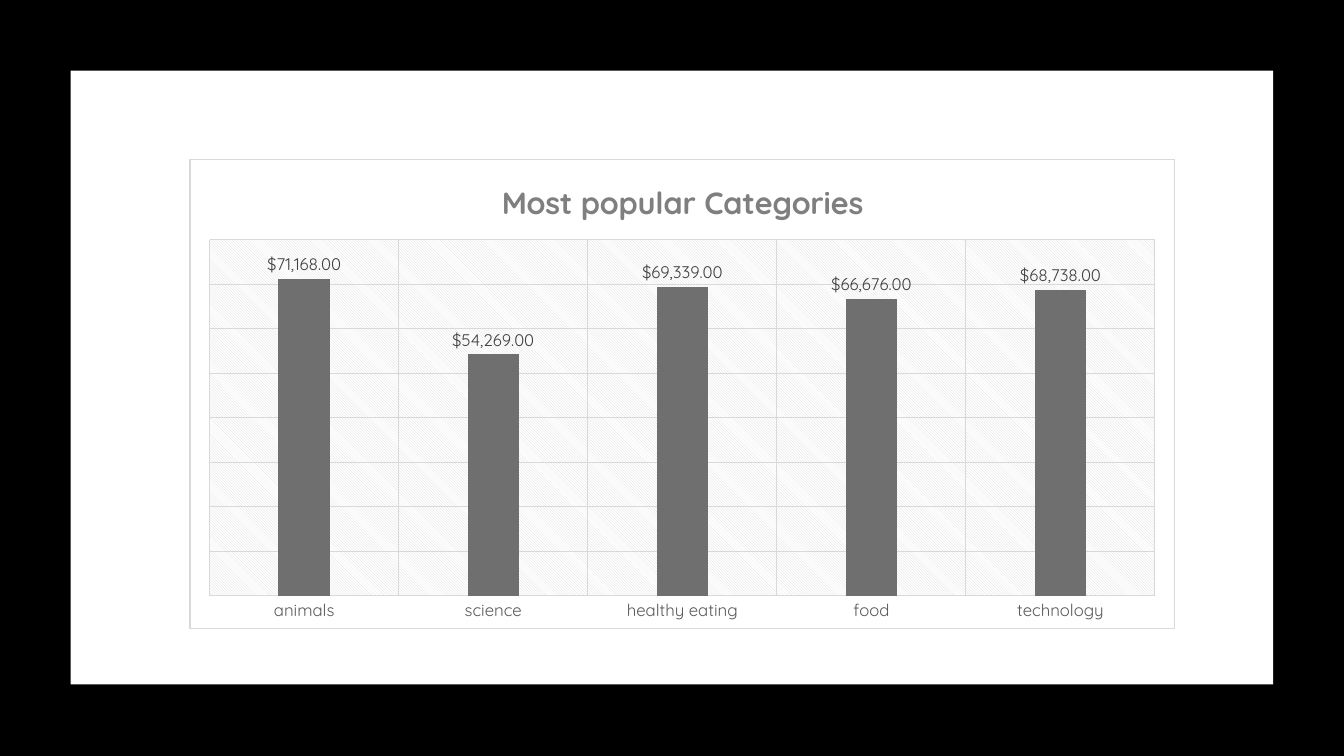
from typing import NamedTuple

from lxml import etree
from pptx import Presentation, oxml
from pptx import util as u
from pptx.chart import data as chart_data
from pptx.dml.color import RGBColor
from pptx.enum import chart as chart_enum
from pptx.enum import shapes

BLACK = RGBColor(0x00, 0x00, 0x00)
WHITE = RGBColor(0xFF, 0xFF, 0xFF)
GRID_GREY = RGBColor(0xD9, 0xD9, 0xD9)
BAR_GREY = RGBColor(0x6F, 0x6F, 0x6F)
TITLE_GREY = RGBColor(0x7F, 0x7F, 0x7F)
AXIS_GREY = RGBColor(0x59, 0x59, 0x59)
LABEL_GREY = RGBColor(0x40, 0x40, 0x40)

FONT = "Quicksand"
DOLLARS = '"$"#,##0.00'
NAMESPACES = (
    'xmlns:c="http://schemas.openxmlformats.org/drawingml/2006/chart" '
    'xmlns:a="http://schemas.openxmlformats.org/drawingml/2006/main"'
)


class Category(NamedTuple):
    name: str
    amount: int


class Box(NamedTuple):
    left: float
    top: float
    width: float
    height: float

    def lengths(self) -> list[u.Length]:
        return [u.Pt(value) for value in self]


CATEGORIES = [
    Category("animals", 71168),
    Category("science", 54269),
    Category("healthy eating", 69339),
    Category("food", 66676),
    Category("technology", 68738),
]
PANEL = Box(50.4, 50.4, 858.96, 438.48)
CHART = Box(135.36, 113.9, 704.16, 335.5)
PLOT_FRACTIONS = {"x": 0.02, "y": 0.17, "w": 0.96, "h": 0.76}


def set_attributes(target, values: dict) -> None:
    for name, value in values.items():
        setattr(target, name, value)


def format_font(font, size: float, color: RGBColor, bold: bool = False) -> None:
    set_attributes(font, {"name": FONT, "size": u.Pt(size), "bold": bold})
    font.color.rgb = color


def format_line(line) -> None:
    line.color.rgb = GRID_GREY
    line.width = u.Pt(0.75)


def parse_chart_xml(tag: str, content: str) -> etree._Element:
    return oxml.parse_xml(f"<c:{tag} {NAMESPACES}>{content}</c:{tag}>")


def add_panel(slide) -> None:
    panel = slide.shapes.add_shape(shapes.MSO_SHAPE.RECTANGLE, *PANEL.lengths())
    panel.shadow.inherit = False
    panel.fill.solid()
    panel.fill.fore_color.rgb = WHITE
    panel.line.fill.background()


def format_title(chart) -> None:
    chart.has_title = True
    frame = chart.chart_title.text_frame
    frame.text = "Most popular Categories"
    format_font(frame.paragraphs[0].runs[0].font, 22, TITLE_GREY, bold=True)
    chart.chart_title.include_in_layout = False


def format_axes(chart) -> None:
    axis = chart.category_axis
    set_attributes(axis, {
        "has_major_gridlines": True,
        "major_tick_mark": chart_enum.XL_TICK_MARK.NONE,
        "minor_tick_mark": chart_enum.XL_TICK_MARK.NONE,
    })
    format_font(axis.tick_labels.font, 12, AXIS_GREY)
    format_line(axis.format.line)
    set_attributes(chart.value_axis, {
        "visible": False,
        "has_major_gridlines": True,
        "minimum_scale": 0,
        "maximum_scale": 80000,
        "major_unit": 10000,
    })
    for gridded in (axis, chart.value_axis):
        format_line(gridded.major_gridlines.format.line)


def format_bars(plot) -> None:
    set_attributes(plot, {
        "gap_width": 267,
        "overlap": -43,
        "vary_by_categories": False,
        "has_data_labels": True,
    })
    set_attributes(plot.data_labels, {
        "show_value": True,
        "position": chart_enum.XL_LABEL_POSITION.OUTSIDE_END,
        "number_format": DOLLARS,
        "number_format_is_linked": False,
    })
    format_font(plot.data_labels.font, 12, LABEL_GREY)
    fill = plot.series[0].format.fill
    fill.solid()
    fill.fore_color.rgb = BAR_GREY


def format_areas(chart) -> None:
    """Place the plot area, hatch it, and frame the whole chart."""
    plot_area = chart.plots[0]._element.getparent()
    for layout in plot_area.xpath("c:layout"):
        plot_area.remove(layout)
    modes = "".join(f'<c:{side}Mode val="edge"/>' for side in "xy")
    fractions = "".join(
        f'<c:{side} val="{value}"/>' for side, value in PLOT_FRACTIONS.items()
    )
    plot_area.insert(0, parse_chart_xml(
        "layout",
        '<c:manualLayout><c:layoutTarget val="inner"/>'
        f"{modes}{fractions}</c:manualLayout>",
    ))
    plot_area.append(parse_chart_xml(
        "spPr",
        '<a:pattFill prst="ltDnDiag">'
        f'<a:fgClr><a:srgbClr val="{GRID_GREY}"/></a:fgClr>'
        f'<a:bgClr><a:srgbClr val="{WHITE}"/></a:bgClr></a:pattFill>'
        "<a:ln><a:noFill/></a:ln>",
    ))
    plot_area.getparent().addnext(parse_chart_xml(
        "spPr",
        f'<a:solidFill><a:srgbClr val="{WHITE}"/></a:solidFill>'
        f'<a:ln w="{u.Pt(0.75)}"><a:solidFill>'
        f'<a:srgbClr val="{GRID_GREY}"/></a:solidFill></a:ln>',
    ))


def add_category_chart(slide) -> None:
    values = chart_data.CategoryChartData(number_format=DOLLARS)
    values.categories = [category.name for category in CATEGORIES]
    values.add_series("Series 1", [category.amount for category in CATEGORIES])
    chart = slide.shapes.add_chart(
        chart_enum.XL_CHART_TYPE.COLUMN_CLUSTERED, *CHART.lengths(), values
    ).chart
    chart.has_legend = False
    format_font(chart.font, 10, AXIS_GREY)
    format_title(chart)
    format_axes(chart)
    format_bars(chart.plots[0])
    format_areas(chart)


def main() -> None:
    presentation = Presentation()
    presentation.slide_width = u.Pt(960)
    presentation.slide_height = u.Pt(540)
    slide = presentation.slides.add_slide(presentation.slide_layouts[6])
    slide.background.fill.solid()
    slide.background.fill.fore_color.rgb = BLACK
    add_panel(slide)
    add_category_chart(slide)
    presentation.save("out.pptx")


if __name__ == "__main__":
    main()
